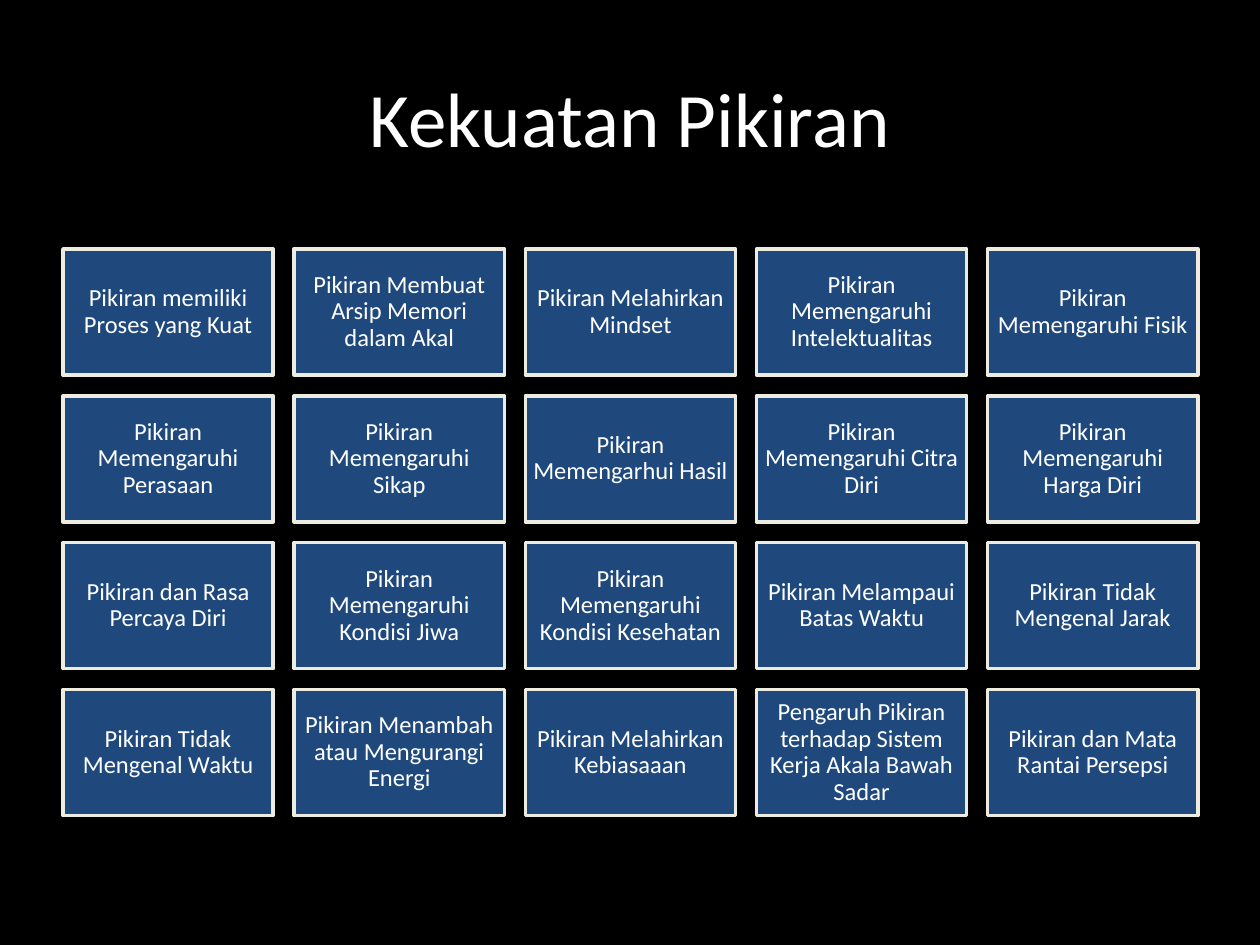
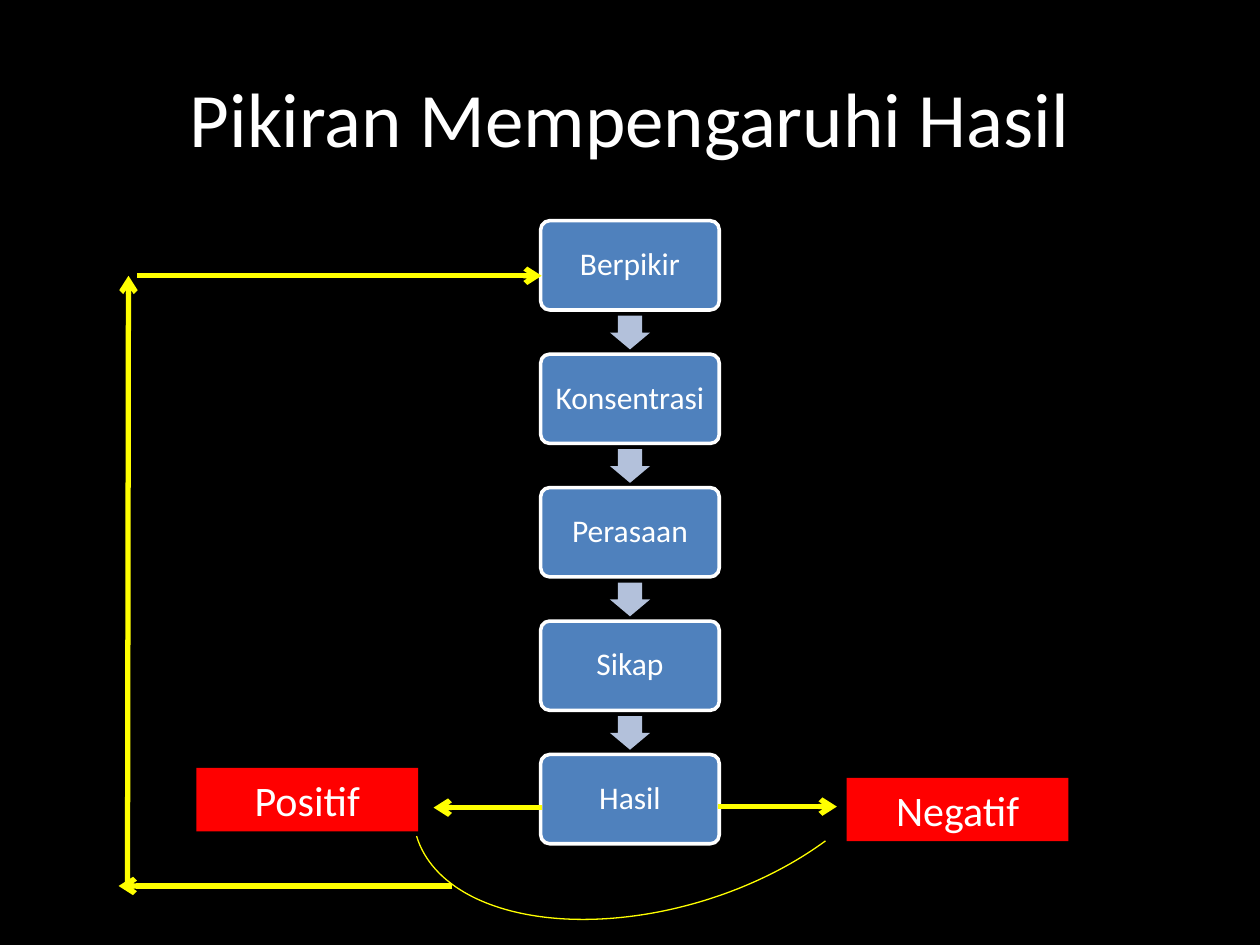
"""Build two slides on the power of thought and how it shapes results."""
from pptx import Presentation
from pptx.dml.color import RGBColor
from pptx.enum.shapes import MSO_CONNECTOR as Link, MSO_SHAPE as Form
from pptx.enum.text import MSO_ANCHOR as Anchor, PP_ALIGN as Align
from pptx.oxml.ns import qn
from pptx.util import Cm, Pt
from lxml.etree import SubElement

COLOURS = {
    "night": "000000", "white": "FFFFFF", "navy": "1F497D", "cream": "EEECE1",
    "blue": "4F81BD", "mist": "B3C1DB", "red": "FF0000", "yellow": "FFFF00",
}

POWERS = [
    ["Pikiran memiliki Proses yang Kuat", "Pikiran Membuat Arsip Memori dalam Akal",
     "Pikiran Melahirkan Mindset", "Pikiran Memengaruhi Intelektualitas",
     "Pikiran Memengaruhi Fisik"],
    ["Pikiran Memengaruhi Perasaan", "Pikiran Memengaruhi Sikap",
     "Pikiran Memengarhui Hasil", "Pikiran Memengaruhi Citra Diri",
     "Pikiran Memengaruhi Harga Diri"],
    ["Pikiran dan Rasa Percaya Diri", "Pikiran Memengaruhi Kondisi Jiwa",
     "Pikiran Memengaruhi Kondisi Kesehatan", "Pikiran Melampaui Batas Waktu",
     "Pikiran Tidak Mengenal Jarak"],
    ["Pikiran Tidak Mengenal Waktu", "Pikiran Menambah atau Mengurangi Energi",
     "Pikiran Melahirkan Kebiasaaan",
     "Pengaruh Pikiran terhadap Sistem Kerja Akala Bawah Sadar",
     "Pikiran dan Mata Rantai Persepsi"],
]
STAGES = ["Berpikir", "Konsentrasi", "Perasaan", "Sikap", "Hasil"]
OUTCOMES = [("Positif", 3.96, 15.48), ("Negatif", 17.07, 15.68)]
FEEDBACK = [
    (10.92, 16.28, 8.74, 16.28),
    (14.48, 16.26, 16.87, 16.26),
    (9.12, 17.86, 2.39, 17.86),
    (2.57, 17.86, 2.59, 5.56),
    (2.77, 5.56, 10.92, 5.56),
]


def rgb(name):
    return RGBColor.from_string(COLOURS[name])


def assign(target, values):
    for attribute, value in values.items():
        setattr(target, attribute, value)


class Deck:
    def __init__(self):
        self.show = Presentation()
        assign(self.show, {"slide_width": Cm(25.4), "slide_height": Cm(19.05)})
        self.slide = None

    def page(self, heading):
        self.slide = self.show.slides.add_slide(self.show.slide_layouts[6])
        backdrop = self.slide.background.fill
        backdrop.solid()
        backdrop.fore_color.rgb = rgb("night")
        title = self.slide.shapes.add_textbox(Cm(1.27), Cm(0.76), Cm(22.86), Cm(3.18))
        self.caption(title, heading, 44)

    def caption(self, holder, words, size, inset=None, spacing=1.0):
        frame = holder.text_frame
        assign(frame, {"word_wrap": True, "vertical_anchor": Anchor.MIDDLE})
        if inset is not None:
            sides = ("left", "right", "top", "bottom")
            assign(frame, {f"margin_{side}": Cm(inset) for side in sides})
        line = frame.paragraphs[0]
        assign(line, {"alignment": Align.CENTER, "line_spacing": spacing})
        run = line.add_run()
        run.text = words
        assign(run.font, {"name": "Calibri", "size": Pt(size)})
        run.font.color.rgb = rgb("white")

    def block(self, form, place, fill=None, edge=None, weight=2, adjust=(), turn=0):
        block = self.slide.shapes.add_shape(form, *map(Cm, place))
        block.shadow.inherit = False
        block.rotation = turn
        for index, value in enumerate(adjust):
            block.adjustments[index] = value
        if fill:
            block.fill.solid()
            block.fill.fore_color.rgb = rgb(fill)
        else:
            block.fill.background()
        if edge:
            self.stroke(block.line, edge, weight)
        else:
            block.line.fill.background()
        return block

    def stroke(self, line, colour, weight):
        line.color.rgb = rgb(colour)
        line.width = Pt(weight)

    def arrow(self, *ends):
        arrow = self.slide.shapes.add_connector(Link.STRAIGHT, *map(Cm, ends))
        self.stroke(arrow.line, "yellow", 3)
        properties = arrow.element.spPr
        SubElement(properties.find(qn("a:ln")), qn("a:tailEnd"), type="arrow")
        SubElement(properties, qn("a:effectLst"))


def powers_slide(deck):
    deck.page("Kekuatan Pikiran")
    width, height, gap = 4.24, 2.54, 0.42
    for row, powers in enumerate(POWERS):
        for column, power in enumerate(powers):
            place = (1.27 + column * (width + gap), 5.02 + row * (height + gap),
                     width, height)
            tile = deck.block(Form.RECTANGLE, place, "navy", "cream")
            deck.caption(tile, power, 14, 0.15, 0.9)


def results_slide(deck):
    deck.page("Pikiran Mempengaruhi Hasil")
    for index, stage in enumerate(STAGES):
        top = 4.45 + index * 2.69
        if index:
            deck.block(Form.RIGHT_ARROW, (12.36, top - 0.84, 0.68, 0.81), "mist",
                       adjust=(0.6, 0.5), turn=90)
        step = deck.block(Form.ROUNDED_RECTANGLE, (10.9, top, 3.6, 1.8), "blue",
                          "white", adjust=(0.1,))
        deck.caption(step, stage, 18, 0.18, 0.9)
    for outcome, left, top in OUTCOMES:
        label = deck.block(Form.RECTANGLE, (left, top, 4.47, 1.28), "red")
        deck.caption(label, outcome, 24)
    deck.block(Form.ARC, (8.18, 12.47, 10.26, 5.82), edge="yellow", weight=0.75,
               adjust=(133.18, 0), turn=163.3)
    for ends in FEEDBACK:
        deck.arrow(*ends)


def main():
    deck = Deck()
    powers_slide(deck)
    results_slide(deck)
    deck.show.save("out.pptx")


if __name__ == "__main__":
    main()
